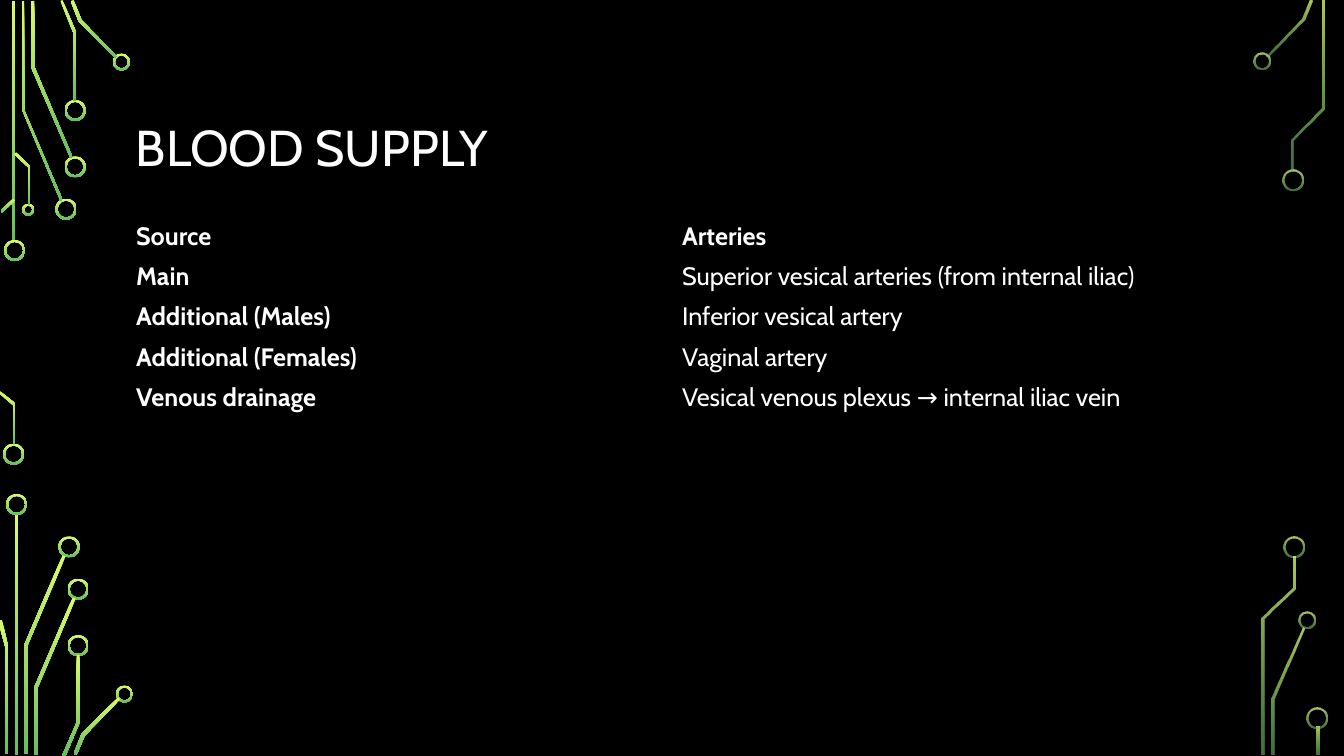
"""Build the blood supply slide with its circuit-trace decoration."""
from dataclasses import dataclass

from lxml import etree
from pptx import Presentation
from pptx.dml.color import RGBColor
from pptx.enum.shapes import MSO_SHAPE
from pptx.enum.text import MSO_ANCHOR
from pptx.oxml.ns import qn
from pptx.util import Inches, Pt

RING_SHAPE = MSO_SHAPE.DONUT
BAR_SHAPE = MSO_SHAPE.RECTANGLE
MIDDLE = MSO_ANCHOR.MIDDLE

FONT = "Cabin"
WHITE = "FFFFFF"
BLACK = "000000"
TRACE_COLORS = ("D8FC68", "66BD5F")
RING_WALL = 0.02
BAR_WIDTH = 0.03
PLAIN_TABLE_STYLE = "{2D5ABB26-0587-4C30-8999-92F81FD0307C}"


@dataclass(frozen=True)
class Ring:
    left: float
    top: float
    size: float = 0.21


@dataclass(frozen=True)
class Bar:
    left: float
    top: float
    height: float


@dataclass(frozen=True)
class Circuit:
    opacities: tuple[int, int]
    bars: list[Bar]
    rings: list[Ring]
    traces: list[list[tuple[float, float]]]


LEFT_CIRCUIT = Circuit(
    opacities=(100, 100),
    bars=[Bar(0.12, 0.01, 2.39), Bar(0.15, 5.1, 2.39)],
    rings=[
        Ring(0.04, 2.38), Ring(0.03, 4.4), Ring(0.55, 1.97), Ring(0.64, 1.55),
        Ring(0.64, 0.99), Ring(1.12, 0.53, 0.17), Ring(0.22, 2.02, 0.12),
        Ring(0.06, 4.9), Ring(0.58, 5.32), Ring(0.67, 5.74), Ring(0.67, 6.3),
        Ring(1.15, 6.8, 0.17),
    ],
    traces=[
        [(0.6, 1.99), (0.22, 1.09), (0.22, 0.01), (0.24, 0.01), (0.24, 1.09), (0.62, 1.98)],
        [(0.7, 1.57), (0.31, 0.67), (0.31, 0.01), (0.34, 0.01), (0.34, 0.66), (0.72, 1.56)],
        [(0.76, 1), (0.73, 1), (0.73, 0.33), (0.6, 0.01), (0.62, 0), (0.76, 0.33)],
        [(1.15, 0.58), (0.78, 0.21), (0.7, 0.01), (0.73, 0), (0.81, 0.2), (1.16, 0.56)],
        [(0.02, 2.11), (0.01, 2.09), (0.13, 1.97), (0.15, 1.99)],
        [(0.15, 4.41), (0.13, 4.41), (0.13, 4.02), (0, 3.91), (0, 3.88), (0.15, 4)],
        [(0.3, 2.03), (0.28, 2.03), (0.28, 1.66), (0.14, 1.53), (0.16, 1.51), (0.3, 1.65)],
        [(0.27, 7.48), (0.24, 7.48), (0.24, 6.4), (0.62, 5.51), (0.65, 5.52), (0.27, 6.41)],
        [(0.08, 7.48), (0.05, 7.48), (0.05, 6.41), (0, 6.23), (0, 6.15), (0.02, 6.15), (0.08, 6.41)],
        [(0.37, 7.49), (0.34, 7.49), (0.34, 6.82), (0.72, 5.93), (0.75, 5.94), (0.37, 6.83)],
        [(0.65, 7.5), (0.62, 7.49), (0.76, 7.17), (0.76, 6.5), (0.79, 6.5), (0.79, 7.17)],
        [(0.76, 7.49), (0.73, 7.48), (0.81, 7.28), (1.17, 6.92), (1.19, 6.94), (0.84, 7.3)],
    ],
)

RIGHT_CIRCUIT = Circuit(
    opacities=(80, 60),
    bars=[Bar(13.06, 7.21, 0.28)],
    rings=[
        Ring(12.43, 0.52, 0.17), Ring(12.72, 1.68), Ring(12.88, 6.07, 0.17),
        Ring(12.73, 5.32), Ring(12.96, 7.02),
    ],
    traces=[
        [(12.58, 0.56), (12.56, 0.55), (12.91, 0.19), (12.99, 0), (13.02, 0.01), (12.94, 0.2)],
        [(12.64, 7.49), (12.61, 7.49), (12.61, 6.93), (12.92, 6.23), (12.94, 6.24), (12.64, 6.94)],
        [(12.83, 1.69), (12.81, 1.69), (12.81, 1.38), (13.11, 1.07), (13.11, 0.01),
         (13.14, 0.01), (13.14, 1.08), (12.83, 1.39)],
        [(12.54, 7.49), (12.51, 7.49), (12.51, 6.13), (12.82, 5.83), (12.82, 5.52),
         (12.85, 5.52), (12.85, 5.84), (12.54, 6.14)],
    ],
)

SUPPLY_ROWS = [
    ("Source", "Arteries"),
    ("Main", "Superior vesical arteries (from internal iliac)"),
    ("Additional (Males)", "Inferior vesical artery"),
    ("Additional (Females)", "Vaginal artery"),
    ("Venous drainage", "Vesical venous plexus → internal iliac vein"),
]


def color(value: str) -> RGBColor:
    return RGBColor.from_string(value)


def write(frame, text: str, *, size: float, bold: bool = False, spacing: float = 1.0) -> None:
    paragraph = frame.paragraphs[0]
    paragraph.line_spacing = spacing
    run = paragraph.add_run()
    run.text = text
    run.font.name = FONT
    run.font.size = Pt(size)
    run.font.bold = bold
    run.font.color.rgb = color(WHITE)


def paint(shape, opacities: tuple[int, int]) -> None:
    shape.shadow.inherit = False
    shape.line.fill.background()
    shape.fill.gradient()
    shape.fill.gradient_angle = 270
    for stop, value in zip(shape.fill.gradient_stops, TRACE_COLORS):
        stop.color.rgb = color(value)
    for tint, opacity in zip(shape._element.spPr.iter(qn("a:srgbClr")), opacities):
        if opacity < 100:
            etree.SubElement(tint, qn("a:alpha")).set("val", str(opacity * 1000))


def draw_circuit(slide, circuit: Circuit) -> None:
    for bar in circuit.bars:
        shape = slide.shapes.add_shape(
            BAR_SHAPE, Inches(bar.left), Inches(bar.top), Inches(BAR_WIDTH), Inches(bar.height))
        paint(shape, circuit.opacities)
    for ring in circuit.rings:
        shape = slide.shapes.add_shape(
            RING_SHAPE, Inches(ring.left), Inches(ring.top), Inches(ring.size), Inches(ring.size))
        shape.adjustments[0] = RING_WALL / ring.size
        paint(shape, circuit.opacities)
    for trace in circuit.traces:
        start, *corners = [(Inches(x), Inches(y)) for x, y in trace]
        outline = slide.shapes.build_freeform(*start)
        outline.add_line_segments(corners, close=True)
        paint(outline.convert_to_shape(), circuit.opacities)


def draw_title(slide) -> None:
    title = slide.shapes.add_textbox(Inches(1.25), Inches(0.68), Inches(10.83), Inches(1.62))
    frame = title.text_frame
    frame.word_wrap = True
    frame.vertical_anchor = MIDDLE
    write(frame, "BLOOD SUPPLY", size=36, spacing=0.9)


def draw_supply_table(slide) -> None:
    holder = slide.shapes.add_table(
        len(SUPPLY_ROWS), 2, Inches(1.25), Inches(2.14), Inches(10.83), Inches(2))
    table = holder.table
    table.first_row = False
    table.horz_banding = False
    table._tbl.tblPr.find(qn("a:tableStyleId")).text = PLAIN_TABLE_STYLE
    for row, texts in enumerate(SUPPLY_ROWS):
        for column, text in enumerate(texts):
            cell = table.cell(row, column)
            cell.fill.background()
            cell.vertical_anchor = MIDDLE
            write(cell.text_frame, text, size=18, bold=row == 0 or column == 0)


def main() -> None:
    deck = Presentation()
    deck.slide_width = Inches(13.33)
    deck.slide_height = Inches(7.5)
    slide = deck.slides.add_slide(deck.slide_layouts[6])
    slide.background.fill.solid()
    slide.background.fill.fore_color.rgb = color(BLACK)
    for circuit in (LEFT_CIRCUIT, RIGHT_CIRCUIT):
        draw_circuit(slide, circuit)
    draw_title(slide)
    draw_supply_table(slide)
    deck.save("out.pptx")


if __name__ == "__main__":
    main()
